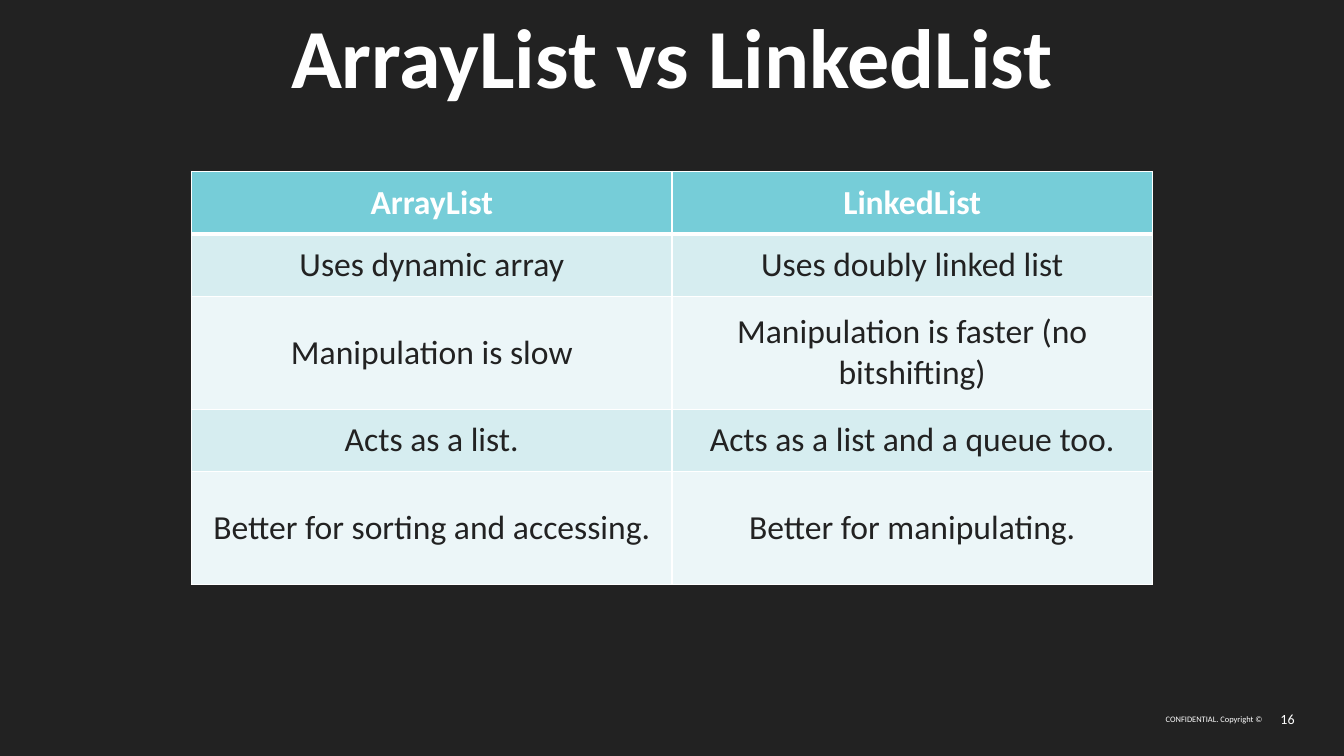
from lxml import etree
from pptx import Presentation
from pptx.dml.color import RGBColor
from pptx.enum.text import MSO_ANCHOR, MSO_AUTO_SIZE, PP_ALIGN
from pptx.oxml.ns import qn
from pptx.util import Inches, Pt

CENTER, RIGHT = PP_ALIGN.CENTER, PP_ALIGN.RIGHT
MIDDLE = MSO_ANCHOR.MIDDLE
NO_AUTOFIT = MSO_AUTO_SIZE.NONE

DARK = RGBColor(0x22, 0x22, 0x22)
WHITE = RGBColor(0xFF, 0xFF, 0xFF)
TEAL = RGBColor(0x76, 0xCD, 0xD8)
BAND = RGBColor(0xD6, 0xED, 0xF0)
PALE_BAND = RGBColor(0xEC, 0xF6, 0xF8)

ROWS = [
    ("ArrayList", "LinkedList"),
    ("Uses dynamic array", "Uses doubly linked list"),
    ("Manipulation is slow", "Manipulation is faster (no bitshifting)"),
    ("Acts as a list.", "Acts as a list and a queue too."),
    ("Better for sorting and accessing.", "Better for manipulating."),
]
ROW_HEIGHTS = [0.62, 0.62, 1.12, 0.62, 1.12]


class SlideBuilder:
    font = "Calibri"

    def __init__(self, prs):
        self.s = prs.slides.add_slide(prs.slide_layouts[5])
        fill = self.s.background.fill
        fill.solid()
        fill.fore_color.rgb = DARK

    def set_text(self, tf, text, size, color, align, bold=False):
        tf.text = text
        p = tf.paragraphs[0]
        p.alignment = align
        p.font.name = self.font
        p.font.size = Pt(size)
        p.font.bold = bold
        p.font.color.rgb = color

    def frame(self, sp, text, size, align, bold=False):
        tf = sp.text_frame
        tf.word_wrap = True
        tf.auto_size = NO_AUTOFIT
        tf.vertical_anchor = MIDDLE
        tf.margin_left = tf.margin_right = tf.margin_top = tf.margin_bottom = 0
        self.set_text(tf, text, size, WHITE, align, bold)

    def title(self, text, x, y, w, h):
        sp = self.s.shapes.title
        sp.left, sp.top, sp.width, sp.height = map(Inches, (x, y, w, h))
        self.frame(sp, text, 60, CENTER, True)

    def text(self, text, x, y, w, h, size):
        sp = self.s.shapes.add_textbox(*map(Inches, (x, y, w, h)))
        self.frame(sp, text, size, RIGHT)

    def border(self, cell, side, width):
        pr = cell._tc.get_or_add_tcPr()
        ln = etree.Element(qn(f"a:ln{side}"), w=str(Pt(width)))
        fill = etree.SubElement(ln, qn("a:solidFill"))
        etree.SubElement(fill, qn("a:srgbClr"), val=str(WHITE))
        pr.insert("LRTB".index(side), ln)

    def table(self, rows, heights, x, y, w):
        columns = len(rows[0])
        shape = self.s.shapes.add_table(
            len(rows), columns, *map(Inches, (x, y, w, sum(heights))))
        table = shape.table
        for row, height in zip(table.rows, heights):
            row.height = Inches(height)
        for column in table.columns:
            column.width = Inches(w / columns)
        for i, row in enumerate(rows):
            header = i == 0
            color = TEAL if header else BAND if i % 2 else PALE_BAND
            for j, text in enumerate(row):
                cell = table.cell(i, j)
                cell.vertical_anchor = MIDDLE
                cell.fill.solid()
                cell.fill.fore_color.rgb = color
                self.set_text(cell.text_frame, text, 24,
                              WHITE if header else DARK, CENTER, header)
                for side in "LRTB":
                    thick = (i, side) in ((0, "B"), (1, "T"))
                    self.border(cell, side, 3 if thick else 1)


def main():
    prs = Presentation()
    prs.slide_width, prs.slide_height = Inches(13.33), Inches(7.5)
    slide = SlideBuilder(prs)
    slide.text("CONFIDENTIAL. Copyright ©", 11.49, 7.01, 1.03, 0.24, 6)
    slide.text("16", 12.57, 7.01, 0.27, 0.24, 10)
    slide.title("ArrayList vs LinkedList", 0, 0.04, 13.33, 1.01)
    slide.table(ROWS, ROW_HEIGHTS, 1.9, 1.7, 9.53)
    prs.save("out.pptx")


if __name__ == "__main__":
    main()
